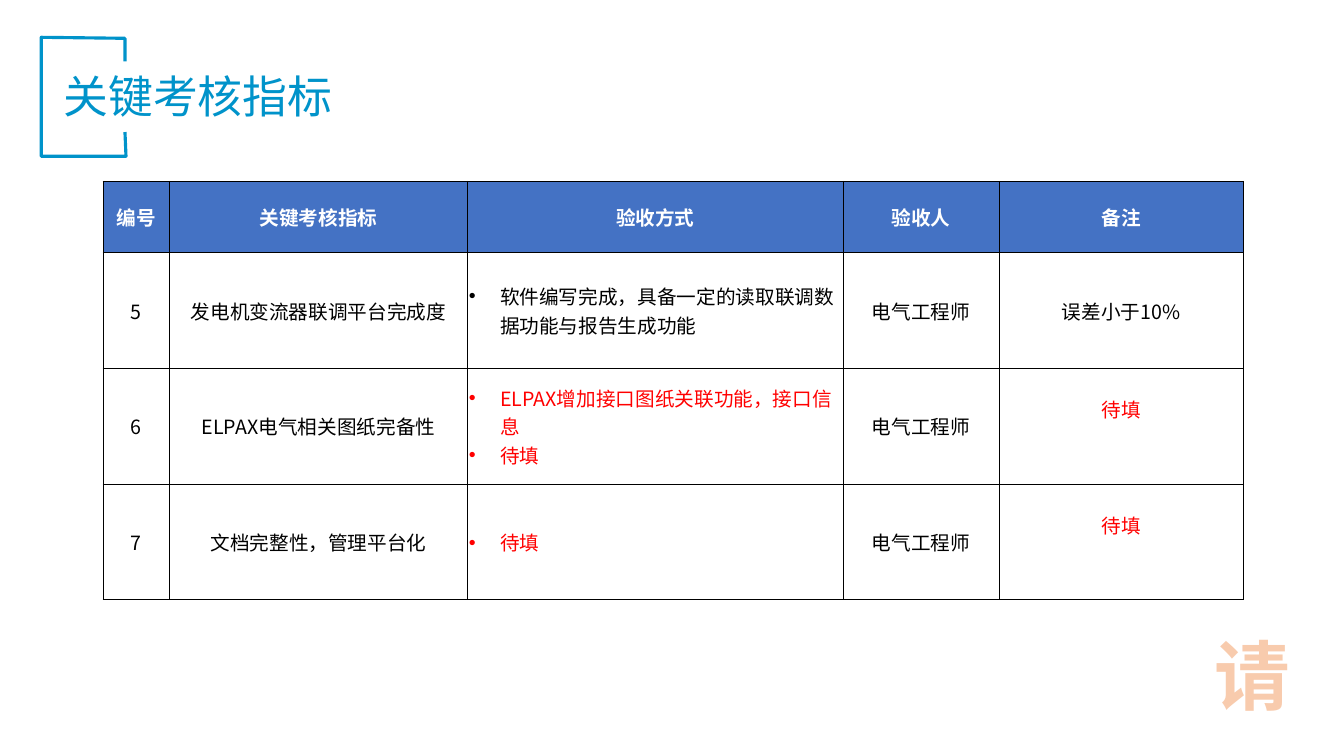
from lxml import etree
from pptx import Presentation
from pptx import util as u
from pptx.dml.color import RGBColor
from pptx.enum import text as t
from pptx.oxml import ns

PX = 9144
FONT = "Noto Sans CJK SC"
CYAN = RGBColor(0x00, 0x93, 0xCA)
BLUE = RGBColor(0x44, 0x72, 0xC4)
WHITE = RGBColor(0xFF, 0xFF, 0xFF)
BLACK = RGBColor(0x00, 0x00, 0x00)
RED = RGBColor(0xFF, 0x00, 0x00)
PEACH = RGBColor(0xF8, 0xCB, 0xAD)
ORANGE = RGBColor(0xED, 0x7D, 0x31)

HEADERS = ["编号", "关键考核指标", "验收方式", "验收人", "备注"]
ENGINEER = "电气工程师"
PENDING = "待填"
INDICATORS = [
    ("5", "发电机变流器联调平台完成度",
     ["软件编写完成，具备一定的读取联调数据功能与报告生成功能"], ENGINEER, "误差小于10%"),
    ("6", "ELPAX电气相关图纸完备性",
     ["ELPAX增加接口图纸关联功能，接口信息", PENDING], ENGINEER, PENDING),
    ("7", "文档完整性，管理平台化", [PENDING], ENGINEER, PENDING),
]
COLUMN_WIDTHS = [66, 296, 372, 155, 242]
ROW_HEIGHTS = [70, 115, 115, 115]
METHOD_COLUMN = 2
BULLET_INDENT = 31
PENDING_LIFT = 35


def px(length):
    return u.Emu(length * PX)


def add_xml(parent, tag, **attributes):
    return etree.SubElement(parent, ns.qn(tag), attributes)


def add_line(parent, tag, color, width):
    line = add_xml(parent, tag, w=str(u.Pt(width)))
    add_xml(add_xml(line, "a:solidFill"), "a:srgbClr", val=str(color))
    return line


def write_text(paragraph, content, size=14, color=BLACK, bold=False,
               align=t.PP_ALIGN.CENTER, bullet=False, outline=None):
    paragraph.alignment = align
    if bullet:
        properties = paragraph._p.get_or_add_pPr()
        properties.set("marL", str(px(BULLET_INDENT)))
        properties.set("indent", str(px(-BULLET_INDENT)))
        add_xml(properties, "a:buFont", typeface="Arial")
        add_xml(properties, "a:buChar", char="•")
    run = paragraph.add_run()
    run.text = content
    run.font.size = u.Pt(size)
    run.font.bold = bold
    run.font.color.rgb = color
    run.font.name = FONT
    run_properties = run._r.get_or_add_rPr()
    add_xml(run_properties, "a:ea", typeface=FONT)
    if outline:
        run_properties.insert(0, add_line(run_properties, "a:ln", outline, 1.75))


def add_bracket(slide, left, top, width, height):
    right, bottom = left + width, top + height
    corners = [(right, bottom), (left, bottom), (left, top), (right - 1, top + 1), (right - 1, top + 24)]
    builder = slide.shapes.build_freeform(px(right - 1), px(bottom - 24))
    builder.add_line_segments([(px(x), px(y)) for x, y in corners], close=False)
    bracket = builder.convert_to_shape()
    bracket.shadow.inherit = False
    bracket.fill.background()
    bracket.line.color.rgb = CYAN
    bracket.line.width = u.Pt(2.25)


def add_title(slide, left, top, width, height):
    title = slide.shapes.title
    title.left, title.top, title.width, title.height = map(px, (left, top, width, height))
    frame = title.text_frame
    frame.auto_size = t.MSO_AUTO_SIZE.NONE
    frame.vertical_anchor = t.MSO_ANCHOR.MIDDLE
    write_text(frame.paragraphs[0], "关键考核指标", size=32, color=CYAN, align=t.PP_ALIGN.LEFT)


def format_cell(cell, fill=None):
    properties = cell._tc.get_or_add_tcPr()
    for edge in ("a:lnL", "a:lnR", "a:lnT", "a:lnB"):
        heavy = fill is not None and edge == "a:lnT"
        add_line(properties, edge, BLACK, 1 if heavy else 0.5)
    if fill is None:
        cell.fill.background()
    else:
        cell.fill.solid()
        cell.fill.fore_color.rgb = fill
    cell.vertical_anchor = t.MSO_ANCHOR.MIDDLE
    cell.margin_left = cell.margin_right = cell.margin_top = px(1)
    cell.margin_bottom = 0


def fill_body_cell(cell, column, content):
    is_method = column == METHOD_COLUMN
    items = content if is_method else [content]
    color = RED if PENDING in items else BLACK
    frame = cell.text_frame
    for index, item in enumerate(items):
        paragraph = frame.add_paragraph() if index else frame.paragraphs[0]
        write_text(paragraph, item, color=color, bullet=is_method,
                   align=t.PP_ALIGN.LEFT if is_method else t.PP_ALIGN.CENTER)
    if content == PENDING:
        cell.margin_bottom = px(PENDING_LIFT)


def add_indicator_table(slide, left, top):
    table = slide.shapes.add_table(
        len(ROW_HEIGHTS), len(COLUMN_WIDTHS), px(left), px(top),
        px(sum(COLUMN_WIDTHS)), px(sum(ROW_HEIGHTS))).table
    table.first_row = table.horz_banding = False
    for column, width in zip(table.columns, COLUMN_WIDTHS):
        column.width = px(width)
    for row, height in zip(table.rows, ROW_HEIGHTS):
        row.height = px(height)
    for column, header in enumerate(HEADERS):
        cell = table.cell(0, column)
        format_cell(cell, BLUE)
        write_text(cell.text_frame.paragraphs[0], header, color=WHITE, bold=True)
    for row, indicator in enumerate(INDICATORS, 1):
        for column, content in enumerate(indicator):
            cell = table.cell(row, column)
            format_cell(cell)
            fill_body_cell(cell, column, content)


def add_corner_word(slide, left, top, width, height):
    frame = slide.shapes.add_textbox(*map(px, (left, top, width, height))).text_frame
    frame.word_wrap = False
    write_text(frame.paragraphs[0], "请", size=54, color=PEACH, bold=True, outline=ORANGE)


def main():
    presentation = Presentation()
    presentation.slide_width, presentation.slide_height = px(1333), px(750)
    slide = presentation.slides.add_slide(presentation.slide_layouts[5])
    add_bracket(slide, 41, 37, 84, 118)
    add_title(slide, 53, 63, 975, 64)
    add_indicator_table(slide, 102, 180)
    add_corner_word(slide, 1194, 619, 96, 101)
    presentation.save("out.pptx")


if __name__ == "__main__":
    main()
